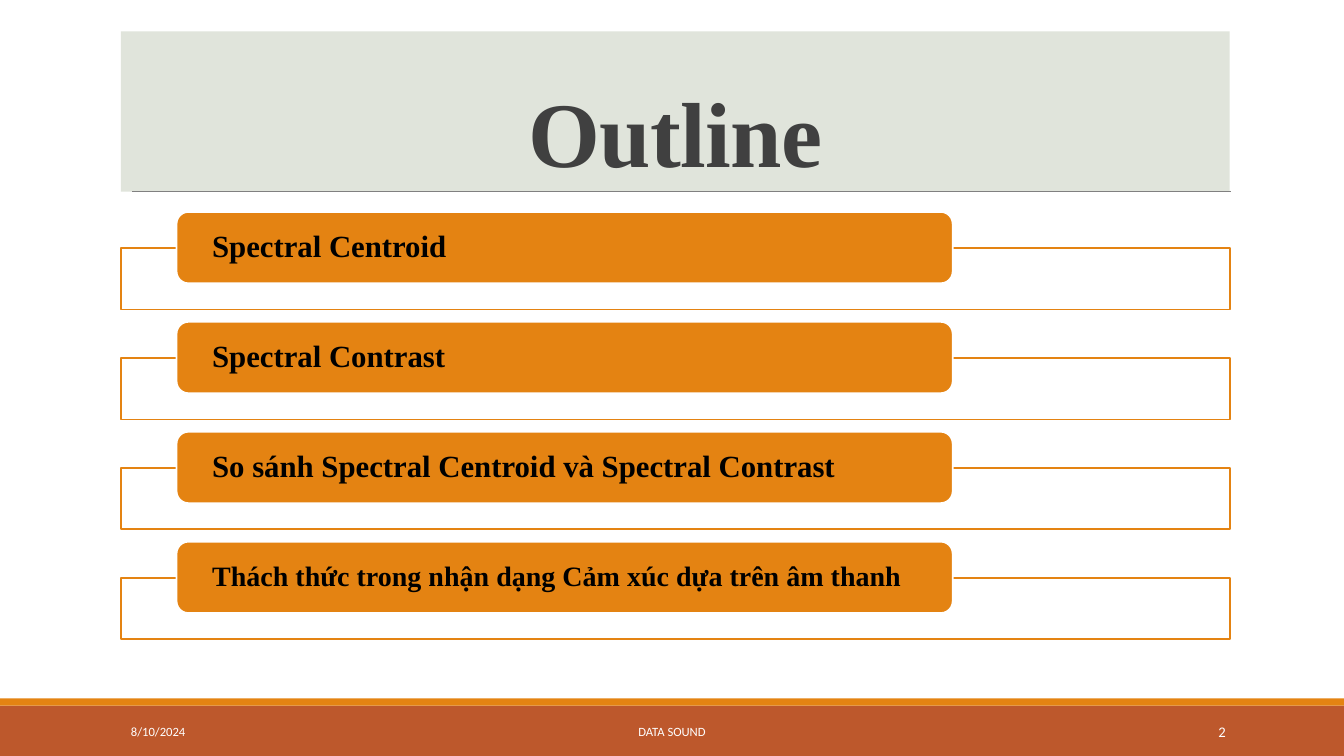
"""Build the outline slide with four topic bars and a footer."""
from dataclasses import dataclass

from lxml import etree
from pptx import Presentation
from pptx.dml.color import RGBColor
from pptx.enum.shapes import MSO_CONNECTOR, MSO_SHAPE
from pptx.enum.text import MSO_ANCHOR, PP_ALIGN
from pptx.oxml.ns import qn
from pptx.util import Cm, Pt

RECTANGLE, ROUNDED = MSO_SHAPE.RECTANGLE, MSO_SHAPE.ROUNDED_RECTANGLE
STRAIGHT = MSO_CONNECTOR.STRAIGHT
MIDDLE, BOTTOM = MSO_ANCHOR.MIDDLE, MSO_ANCHOR.BOTTOM
LEFT, CENTER, RIGHT = PP_ALIGN.LEFT, PP_ALIGN.CENTER, PP_ALIGN.RIGHT

TITLE = "Outline"
TOPICS = [
    ("Spectral Centroid", 22),
    ("Spectral Contrast", 22),
    ("So sánh Spectral Centroid và Spectral Contrast", 22),
    ("Thách thức trong nhận dạng Cảm xúc dựa trên âm thanh", 20),
]
FOOTERS = [
    ("8/10/2024", 3.05, 6.86, LEFT, 9),
    ("DATA SOUND", 10.24, 13.39, CENTER, 9),
    ("2", 27.51, 3.63, RIGHT, 10.5),
]


@dataclass(frozen=True)
class Theme:
    serif: str = "Times New Roman"
    sans: str = "Calibri"
    title_size: float = 66
    orange: str = "E48312"
    rust: str = "BD582C"
    sage: str = "E0E4DB"
    gray: str = "808080"
    dark: str = "404040"
    black: str = "000000"
    white: str = "FFFFFF"


THEME = Theme()
WIDTH, HEIGHT = 33.87, 19.05
MARGIN, CONTENT_WIDTH = 3.05, 27.94
FRAME_TOP, FRAME_HEIGHT = 6.25, 1.55
BAR_LEFT, BAR_TOP, BAR_WIDTH, BAR_HEIGHT = 4.45, 5.34, 19.56, 1.8
BAR_INSET = 0.81
PITCH = 2.77


def color(value):
    return RGBColor.from_string(value)


def add_box(page, kind, place, fill, line=None):
    box = page.shapes.add_shape(kind, *map(Cm, place))
    box.shadow.inherit = False
    box.fill.solid()
    box.fill.fore_color.rgb = color(fill)
    if line:
        box.line.color.rgb = color(line)
        box.line.width = Pt(1.25)
    else:
        box.line.fill.background()
    return box


def write(box, text, font, size, ink, align, anchor=MIDDLE, bold=False):
    frame = box.text_frame
    frame.word_wrap = True
    frame.vertical_anchor = anchor
    para = frame.paragraphs[0]
    para.text = text
    para.alignment = align
    para.font.name, para.font.size, para.font.bold = font, Pt(size), bold
    para.font.color.rgb = color(ink)
    return para


def add_title(page):
    box = add_box(page, RECTANGLE, (MARGIN, 0.79, CONTENT_WIDTH, 4.04), THEME.sage)
    para = write(box, TITLE, THEME.serif, THEME.title_size, THEME.dark,
                 CENTER, BOTTOM, True)
    para.line_spacing = 0.85
    para.runs[0].font._element.set("spc", "-50")


def add_rule(page):
    rule = page.shapes.add_connector(STRAIGHT, Cm(3.33), Cm(4.83), Cm(31.01), Cm(4.83))
    rule.line.color.rgb = color(THEME.gray)
    rule.line.width = Pt(0.5)
    etree.SubElement(rule._element.spPr, qn("a:effectLst"))


def add_topic(page, index, text, size):
    offset = index * PITCH
    add_box(page, RECTANGLE, (MARGIN, FRAME_TOP + offset, CONTENT_WIDTH, FRAME_HEIGHT),
            THEME.white, THEME.orange)
    bar = add_box(page, ROUNDED, (BAR_LEFT, BAR_TOP + offset, BAR_WIDTH, BAR_HEIGHT),
                  THEME.orange, THEME.white)
    frame = bar.text_frame
    frame.margin_left = frame.margin_right = Cm(BAR_INSET)
    frame.margin_top = frame.margin_bottom = 0
    para = write(bar, text, THEME.serif, size, THEME.black, LEFT, bold=True)
    para.line_spacing = 0.9


def main():
    deck = Presentation()
    deck.slide_width, deck.slide_height = Cm(WIDTH), Cm(HEIGHT)
    page = deck.slides.add_slide(deck.slide_layouts[6])
    add_box(page, RECTANGLE, (0, 17.78, WIDTH, 1.27), THEME.rust)
    add_box(page, RECTANGLE, (0, 17.6, WIDTH, 0.18), THEME.orange)
    add_title(page)
    add_rule(page)
    for index, (text, size) in enumerate(TOPICS):
        add_topic(page, index, text, size)
    for text, left, width, align, size in FOOTERS:
        box = page.shapes.add_textbox(Cm(left), Cm(17.93), Cm(width), Cm(1.02))
        write(box, text, THEME.sans, size, THEME.white, align)
    deck.save("out.pptx")


if __name__ == "__main__":
    main()
